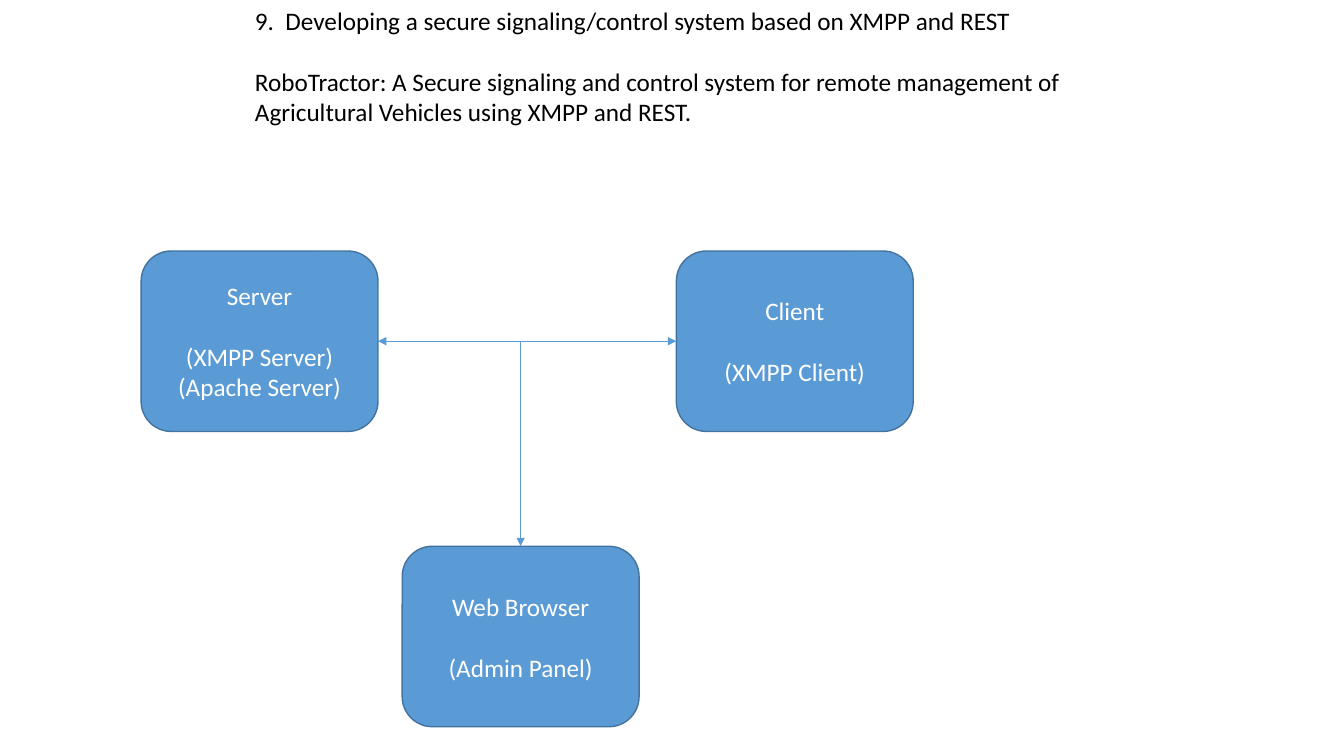
from lxml import etree
from pptx import Presentation
from pptx.dml.color import RGBColor
from pptx.enum import shapes, text
from pptx.oxml import ns
from pptx.util import Pt

BLUE = RGBColor(0x5B, 0x9B, 0xD5)
DARK_BLUE = RGBColor(0x43, 0x73, 0x9E)
WHITE = RGBColor(0xFF, 0xFF, 0xFF)
BLACK = RGBColor(0x00, 0x00, 0x00)

FONT_SIZE = Pt(18)
LINE_GAP = Pt(22)
NODE_WIDTH, NODE_HEIGHT = Pt(169.2), Pt(128.9)
UPPER_TOP, LOWER_TOP = Pt(179.3), Pt(390.2)
TOP, LEFT, RIGHT = 0, 1, 3


def write_lines(frame, lines, color, alignment):
    frame.word_wrap = True
    for index, line in enumerate(lines):
        paragraph = frame.paragraphs[0] if index == 0 else frame.add_paragraph()
        paragraph.text = line
        paragraph.alignment = alignment
        paragraph.font.name = "Calibri"
        paragraph.font.size = FONT_SIZE
        paragraph.font.color.rgb = color
        if index == 1:
            paragraph.space_before = LINE_GAP


def add_description(slide, lines):
    box = slide.shapes.add_textbox(Pt(175), Pt(0), Pt(608.4), Pt(116.6))
    write_lines(box.text_frame, lines, BLACK, text.PP_ALIGN.LEFT)


def add_node(slide, left, top, lines):
    node = slide.shapes.add_shape(
        shapes.MSO_SHAPE.ROUNDED_RECTANGLE, left, top, NODE_WIDTH, NODE_HEIGHT)
    node.shadow.inherit = False
    node.fill.solid()
    node.fill.fore_color.rgb = BLUE
    node.line.color.rgb = DARK_BLUE
    node.line.width = Pt(1)
    node.text_frame.vertical_anchor = text.MSO_ANCHOR.MIDDLE
    write_lines(node.text_frame, lines, WHITE, text.PP_ALIGN.CENTER)
    return node


def add_arrow(slide, kind, start, start_side, end, end_side, ends):
    arrow = slide.shapes.add_connector(kind, Pt(0), Pt(0), Pt(0), Pt(0))
    arrow.begin_connect(start, start_side)
    arrow.end_connect(end, end_side)
    arrow.line.color.rgb = BLUE
    arrow.line.width = Pt(0.5)
    properties = arrow._element.spPr
    line = properties.find(ns.qn("a:ln"))
    for end_tag in ends:
        etree.SubElement(line, ns.qn(end_tag), type="triangle")
    etree.SubElement(properties, ns.qn("a:effectLst"))
    return arrow


def main():
    presentation = Presentation()
    presentation.slide_width, presentation.slide_height = Pt(960), Pt(540)
    slide = presentation.slides.add_slide(presentation.slide_layouts[6])

    add_description(slide, [
        "9.  Developing a secure signaling/control system based on XMPP and REST",
        "RoboTractor: A Secure signaling and control system for remote management "
        "of Agricultural Vehicles using XMPP and REST.",
    ])
    server = add_node(slide, Pt(100.8), UPPER_TOP,
                      ["Server", "(XMPP Server)", "(Apache Server)"])
    client = add_node(slide, Pt(483.1), UPPER_TOP, ["Client", "(XMPP Client)"])
    browser = add_node(slide, Pt(287.3), LOWER_TOP,
                       ["Web Browser", "(Admin Panel)"])

    branch = add_arrow(slide, shapes.MSO_CONNECTOR.ELBOW, server, RIGHT,
                       browser, TOP, ["a:tailEnd"])
    branch._element.spPr.find(ns.qn("a:prstGeom")).set("prst", "bentConnector2")
    add_arrow(slide, shapes.MSO_CONNECTOR.STRAIGHT, server, RIGHT,
              client, LEFT, ["a:headEnd", "a:tailEnd"])

    presentation.save("out.pptx")


if __name__ == "__main__":
    main()
